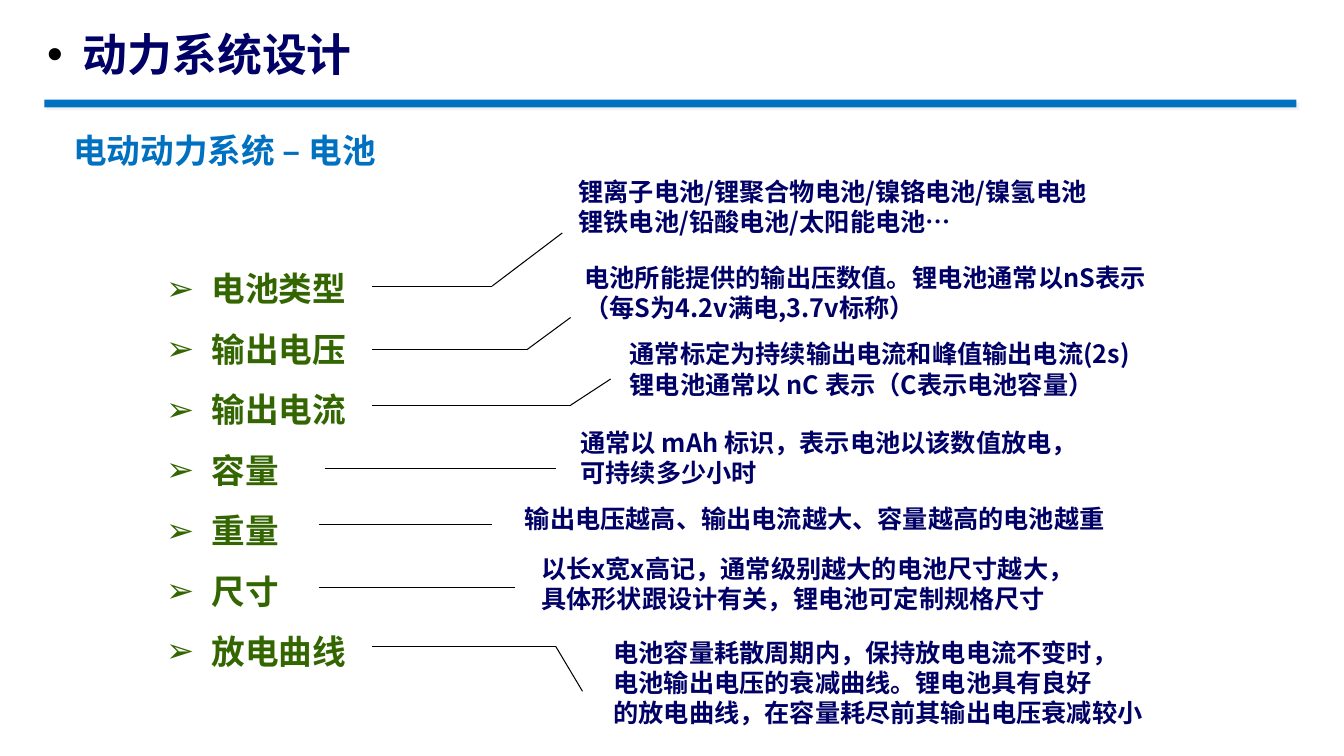
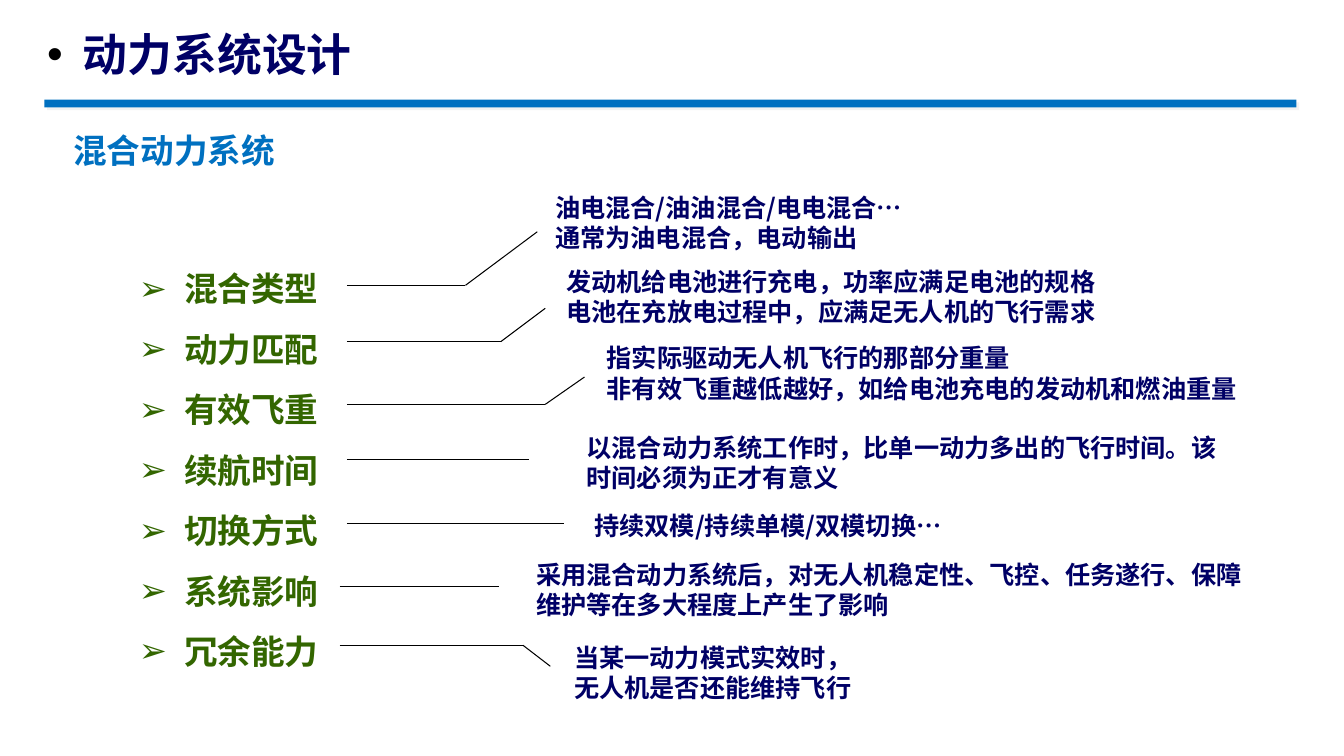
from dataclasses import dataclass

from lxml import etree
from pptx import Presentation
from pptx import util as u
from pptx.dml.color import RGBColor
from pptx.enum import shapes, text
from pptx.oxml import ns

FONT = "Noto Sans CJK SC"
BLACK = RGBColor(0x00, 0x00, 0x00)
NAVY = RGBColor(0x00, 0x00, 0x66)
BLUE = RGBColor(0x00, 0x70, 0xC0)
GREEN = RGBColor(0x33, 0x66, 0x00)
SHADOW = "E7E6E6"

TITLE = "动力系统设计"


@dataclass
class Topic:
    label: str
    lines: list    # paragraphs of the note
    box: tuple     # left, top, width, height of the note in cm
    leader: list   # points of the leader line in cm


BATTERY = [
    Topic("电池类型",
          ["锂离子电池/锂聚合物电池/镍铬电池/镍氢电池",
           "锂铁电池/铅酸电池/太阳能电池…"],
          (14.33, 4.32, 14.58, 1.8),
          [(9.37, 7.21), (12.4, 7.21), (14.17, 5.87)]),
    Topic("输出电压",
          ["电池所能提供的输出压数值。锂电池通常以nS表示",
           "（每S为4.2v满电,3.7v标称）"],
          (14.48, 6.48, 15.52, 1.8),
          [(9.37, 8.81), (13.28, 8.81), (14.38, 8.0)]),
    Topic("输出电流",
          ["通常标定为持续输出电流和峰值输出电流(2s)",
           "锂电池通常以 nC 表示（C表示电池容量）"],
          (15.62, 8.41, 14.33, 1.8),
          [(9.37, 10.21), (14.38, 10.21), (15.39, 9.55)]),
    Topic("容量",
          ["通常以 mAh 标识，表示电池以该数值放电，可持续多少小时"],
          (14.38, 10.64, 13.54, 1.8),
          [(8.18, 11.81), (14.0, 11.81)]),
    Topic("重量",
          ["输出电压越高、输出电流越大、容量越高的电池越重"],
          (12.98, 12.55, 18.44, 1.02),
          [(8.03, 13.21), (12.4, 13.21)]),
    Topic("尺寸",
          ["以长x宽x高记，通常级别越大的电池尺寸越大，",
           "具体形状跟设计有关，锂电池可定制规格尺寸"],
          (13.39, 13.82, 15.39, 1.8),
          [(8.03, 14.81), (12.98, 14.81)]),
    Topic("放电曲线",
          ["电池容量耗散周期内，保持放电电流不变时，",
           "电池输出电压的衰减曲线。锂电池具有良好",
           "的放电曲线，在容量耗尽前其输出电压衰减较小"],
          (15.21, 15.93, 14.71, 2.57),
          [(9.37, 16.28), (14.0, 16.28), (14.68, 17.42)]),
]

HYBRID = [
    Topic("混合类型",
          ["油电混合/油油混合/电电混合…", "通常为油电混合，电动输出"],
          (13.74, 4.72, 17.68, 1.8),
          [(8.74, 7.19), (11.73, 7.19), (13.54, 5.84)]),
    Topic("动力匹配",
          ["发动机给电池进行充电，功率应满足电池的规格",
           "电池在充放电过程中，应满足无人机的飞行需求"],
          (14.02, 6.58, 18.82, 1.8),
          [(8.74, 8.61), (12.62, 8.61), (13.74, 7.77)]),
    Topic("有效飞重",
          ["指实际驱动无人机飞行的那部分重量",
           "非有效飞重越低越好，如给电池充电的发动机和燃油重量"],
          (15.04, 8.51, 17.35, 1.8),
          [(8.74, 10.19), (13.74, 10.19), (14.73, 9.5)]),
    Topic("续航时间",
          ["以混合动力系统工作时，比单一动力多出的飞行时间。该时间必须为正才有意义"],
          (14.53, 10.77, 16.41, 1.8),
          [(8.74, 11.58), (13.34, 11.58)]),
    Topic("切换方式",
          ["持续双模/持续单模/双模切换…"],
          (14.73, 12.73, 16.41, 1.02),
          [(8.74, 13.18), (14.22, 13.18)]),
    Topic("系统影响",
          ["采用混合动力系统后，对无人机稳定性、飞控、任务遂行、保障维护等在多大程度上产生了影响"],
          (13.26, 13.97, 18.64, 1.8),
          [(8.56, 14.78), (12.57, 14.78)]),
    Topic("冗余能力",
          ["当某一动力模式实效时，", "无人机是否还能维持飞行"],
          (14.22, 16.05, 12.07, 1.8),
          [(8.56, 16.26), (13.18, 16.26), (13.87, 16.79)]),
]


# Text helpers
def add_run(p, content, size, color):
    r = p.add_run()
    r.text = content
    r.font.size = u.Pt(size)
    r.font.bold = True
    r.font.color.rgb = color
    r.font.name = FONT
    ea = etree.SubElement(r.font._element, ns.qn("a:ea"))
    ea.set("typeface", FONT)


def set_bullet(p, char, indent):
    pPr = p._p.get_or_add_pPr()
    pPr.set("marL", str(u.Cm(indent)))
    pPr.set("indent", str(-u.Cm(indent)))
    etree.SubElement(pPr, ns.qn("a:buFont")).set("typeface", "Arial")
    etree.SubElement(pPr, ns.qn("a:buChar")).set("char", char)


def add_text(s, box, paragraphs, size, grow=True):
    """Each paragraph is a list of (text, colour) runs."""
    sp = s.shapes.add_textbox(*map(u.Cm, box))
    tf = sp.text_frame
    tf.word_wrap = True
    if grow:
        tf.auto_size = text.MSO_AUTO_SIZE.SHAPE_TO_FIT_TEXT
    for i, runs in enumerate(paragraphs):
        p = tf.add_paragraph() if i else tf.paragraphs[0]
        for content, color in runs:
            add_run(p, content, size, color)
    return tf


# Shared frame: band, title and subtitle
def add_band(s):
    sp = s.shapes.add_shape(shapes.MSO_SHAPE.RECTANGLE,
                            *map(u.Cm, (1.12, 2.51, 31.55, 0.2)))
    sp.fill.solid()
    sp.fill.fore_color.rgb = BLUE
    sp.line.fill.background()
    sp.shadow.inherit = False
    effects = sp._element.spPr.find(ns.qn("a:effectLst"))
    shadow = etree.SubElement(effects, ns.qn("a:outerShdw"),
                              dist=str(u.Pt(2.8)), dir="2700000",
                              algn="ctr", rotWithShape="0")
    color = etree.SubElement(shadow, ns.qn("a:srgbClr"), val=SHADOW)
    etree.SubElement(color, ns.qn("a:alpha"), val="50000")


def add_frame(s, subtitle):
    add_band(s)
    tf = add_text(s, (0.94, 0.69, 14.81, 2.01),
                  [[(" ", BLACK), (TITLE, NAVY)]], 32, grow=False)
    p = tf.paragraphs[0]
    p.line_spacing = 0.9
    p.space_before = u.Pt(10)
    set_bullet(p, "•", 0.64)
    add_text(s, (1.6, 3.15, 10.31, 1.28), [[(subtitle, BLUE)]], 24)


# Topic list with leader lines and notes
def add_labels(s, left, topics):
    tf = add_text(s, (left, 6.13, 8.1, 10.8),
                  [[(" " + t.label, GREEN)] for t in topics], 24)
    for p in tf.paragraphs:
        p.line_spacing = 1.5
        set_bullet(p, "➢", 0.95)


def add_leader(s, points):
    for start, end in zip(points, points[1:]):
        line = s.shapes.add_connector(shapes.MSO_CONNECTOR.STRAIGHT,
                                      *map(u.Cm, start + end))
        line.line.color.rgb = BLACK
        line.line.width = u.Pt(0.75)
        etree.SubElement(line._element.spPr, ns.qn("a:effectLst"))


def add_topic_slide(prs, subtitle, labels_left, topics):
    s = prs.slides.add_slide(prs.slide_layouts[6])
    add_frame(s, subtitle)
    add_labels(s, labels_left, topics)
    for t in topics:
        add_leader(s, t.leader)
        add_text(s, t.box, [[(line, NAVY)] for line in t.lines], 18)


def main():
    prs = Presentation()
    prs.slide_width, prs.slide_height = u.Cm(33.87), u.Cm(19.05)
    add_topic_slide(prs, "电动动力系统 – 电池", 3.94, BATTERY)
    add_topic_slide(prs, "混合动力系统", 3.25, HYBRID)
    prs.save("out.pptx")


if __name__ == "__main__":
    main()
